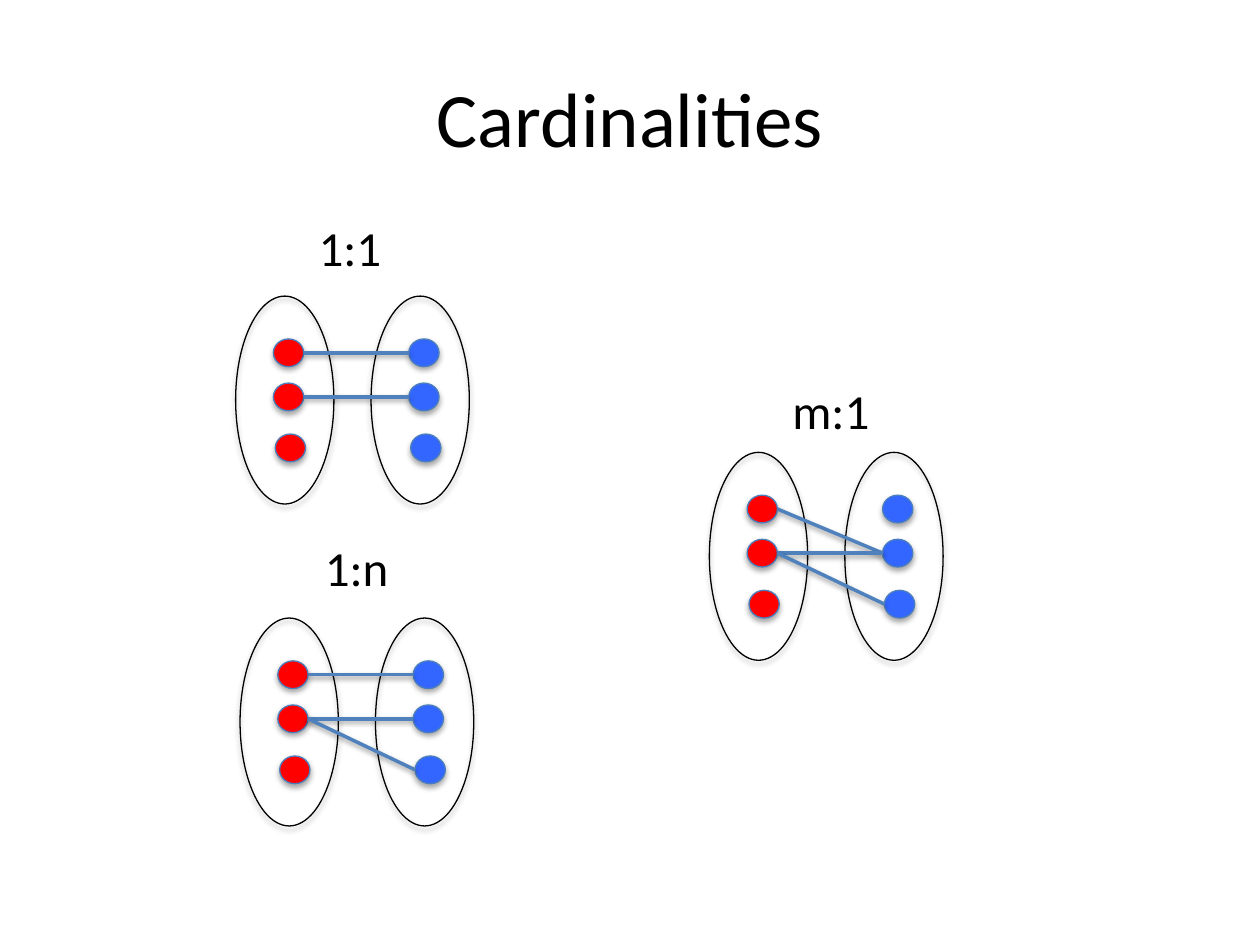
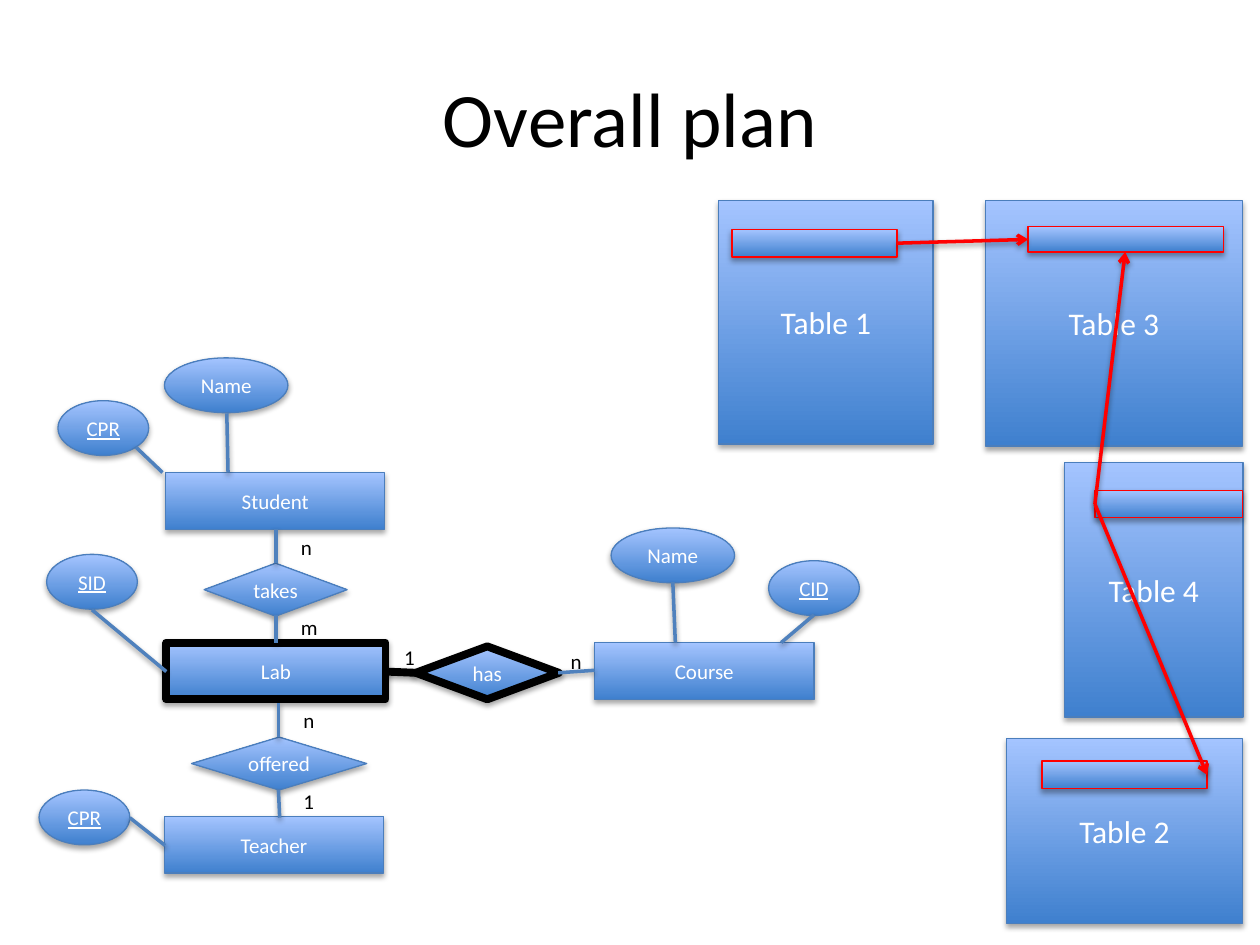
from pptx import Presentation
from pptx.dml.color import RGBColor
from pptx.enum.shapes import MSO_CONNECTOR, MSO_SHAPE
from pptx.enum.text import MSO_ANCHOR, PP_ALIGN
from pptx.oxml import parse_xml
from pptx.oxml.ns import nsdecls
from pptx.util import Emu, Inches, Pt

# The slide is a grid of 100 columns by 75 rows; all lengths are in grid cells.
CELL = Inches(0.1)
FONT = "Calibri"
BLACK, WHITE, RED, BLUE = "000000", "FFFFFF", "FF0000", "3366FF"
OUTLINE, LINK = "4B7EBC", "4F81BD"
GRADIENT = ("3F80CE", "A4C4FF")
TITLE_AREA = (5, 3, 90, 12.5)
RECT, OVAL, DIAMOND = MSO_SHAPE.RECTANGLE, MSO_SHAPE.OVAL, MSO_SHAPE.DIAMOND
SHADOW = (
    f"<a:effectLst {nsdecls('a')}>"
    '<a:outerShdw blurRad="40000" dist="%d" dir="5400000" rotWithShape="0">'
    '<a:srgbClr val="000000"><a:alpha val="%d"/></a:srgbClr>'
    "</a:outerShdw></a:effectLst>"
)


def draw(page, kind, area, text="", size=12, color=WHITE, fill=GRADIENT,
         line=OUTLINE, width=0.75, underline=False, centered=True):
    """Add a preset shape, or a plain text box when kind is None."""
    area = [Emu(round(cells * CELL)) for cells in area]
    if kind is None:
        box = page.shapes.add_textbox(*area)
    else:
        box = page.shapes.add_shape(kind, *area)
        if fill is None:
            box.fill.background()
        elif fill == GRADIENT:
            box.fill.gradient()
            box.fill.gradient_angle = 90
            for stop, shade in zip(box.fill.gradient_stops, GRADIENT):
                stop.color.rgb = RGBColor.from_string(shade)
        else:
            box.fill.solid()
            box.fill.fore_color.rgb = RGBColor.from_string(fill)
        box.line.color.rgb = RGBColor.from_string(line)
        box.line.width = Pt(width)
        box._element.spPr.append(parse_xml(SHADOW % (23000, 35000)))
    if text:
        frame = box.text_frame
        frame.word_wrap = centered
        frame.vertical_anchor = MSO_ANCHOR.MIDDLE if centered else MSO_ANCHOR.TOP
        para = frame.paragraphs[0]
        para.alignment = PP_ALIGN.CENTER if centered else PP_ALIGN.LEFT
        span = para.add_run()
        span.text = text
        span.font.name = FONT
        span.font.size = Pt(size)
        span.font.underline = underline or None
        span.font.color.rgb = RGBColor.from_string(color)


def link(page, start, end, color=LINK, width=2, arrow=False):
    ends = [Emu(round(cells * CELL)) for cells in (*start, *end)]
    connector = page.shapes.add_connector(MSO_CONNECTOR.STRAIGHT, *ends)
    connector.line.color.rgb = RGBColor.from_string(color)
    connector.line.width = Pt(width)
    if arrow:
        connector.line._get_or_add_ln().append(
            parse_xml(f'<a:tailEnd {nsdecls("a")} type="arrow"/>'))
    connector._element.spPr.append(parse_xml(SHADOW % (20000, 38000)))


deck = Presentation()
deck.slide_width, deck.slide_height = 100 * CELL, 75 * CELL
pages = []
for title in ("Cardinalities", "Overall plan"):
    page = deck.slides.add_slide(deck.slide_layouts[6])
    draw(page, None, TITLE_AREA, title, 44, BLACK)
    pages.append(page)
cardinalities, plan = pages

# Cardinalities: two sets of three dots, with links as (left dot, right dot)
SET_GAP = 10.75
DOT_WIDTH, DOT_HEIGHT = 2.4, 2.2
DOTS = [(3, 3.4), (3, 6.9), (3.15, 10.95)]
mappings = [
    ("1:1", (24.3, 16.8, 7.1, 5.7), (18.7, 23.5), [(0, 0), (1, 1)]),
    ("1:n", (24.8, 42.2, 7.1, 5.7), (19.05, 49.05), [(0, 0), (1, 1), (1, 2)]),
    ("m:1", (61.9, 29.7, 8.2, 5.7), (56.3, 35.9), [(0, 1), (1, 1), (1, 2)]),
]
for name, label_area, (left, top), pairs in mappings:
    for set_left, dot_color in ((left, RED), (left + SET_GAP, BLUE)):
        draw(cardinalities, OVAL, (set_left, top, 7.8, 16.5), fill=None, line=BLACK)
        for x, y in DOTS:
            draw(cardinalities, OVAL, (set_left + x, top + y, DOT_WIDTH, DOT_HEIGHT),
                 fill=dot_color)
    for source, target in pairs:
        (x1, y1), (x2, y2) = DOTS[source], DOTS[target]
        middle = top + DOT_HEIGHT / 2
        link(cardinalities, (left + x1 + DOT_WIDTH, middle + y1),
             (left + SET_GAP + x2, middle + y2))
    draw(cardinalities, None, label_area, name, 28, BLACK, centered=False)

# Overall plan: tables, each with a key row, and references between the keys
tables = [
    ("Table 1", (57.05, 15.9, 17, 19.35), (58.1, 18.2, 13.1, 2.2)),
    ("Table 2", (79.9, 58.6, 18.7, 14.7), (82.7, 60.4, 13.1, 2.2)),
    ("Table 3", (78.2, 15.9, 20.4, 19.5), (81.6, 18, 15.5, 2)),
    ("Table 4", (84.5, 36.7, 14.15, 20.2), (86.9, 38.9, 11.7, 2.2)),
]
for name, table_area, key_area in tables:
    draw(plan, RECT, table_area, name, 18)
    draw(plan, RECT, key_area, line=RED)
for start, end in [((71.2, 19.3), (81.6, 19)), ((86.9, 40), (89.3, 20)),
                   ((86.9, 40), (95.8, 61.5))]:
    link(plan, start, end, RED, arrow=True)

# Overall plan: entities, attributes and relations
HEAVY = {"line": BLACK, "width": 4.5}
for name, left, top, style in [
    ("Student", 13.15, 37.5, {}), ("Teacher", 13.05, 64.8, {}),
    ("Course", 47.2, 51, {}), ("Lab", 13.2, 51, HEAVY),
]:
    draw(plan, RECT, (left, top, 17.4, 4.5), name, **style)

for name, left, top, is_key in [
    ("CPR", 4.6, 31.8, True), ("CPR", 3.1, 62.7, True), ("Name", 13.05, 28.4, False),
    ("CID", 61, 44.5, True), ("Name", 48.5, 41.9, False), ("SID", 3.7, 44, True),
]:
    draw(plan, OVAL, (left, top, 7.2 if is_key else 9.8, 4.35), name, underline=is_key)

for name, left, top, breadth, style in [
    ("takes", 16.2, 44.7, 11.35, {}), ("offered", 15.2, 58.5, 13.9, {}),
    ("has", 33, 51.3, 11.35, HEAVY),
]:
    draw(plan, DIAMOND, (left, top, breadth, 4.2), name, **style)

for start, end in [
    ((10.8, 35.5), (12.9, 37.5)),    # CPR to Student
    ((18, 32.8), (18.1, 37.5)),      # Name to Student
    ((13.1, 67.1), (10.3, 64.9)),    # Teacher to CPR
    ((64.6, 48.8), (62, 51)),        # CID to Course
    ((53.4, 46.2), (53.6, 51)),      # Name to Course
    ((7.3, 48.4), (13.2, 53.3)),     # SID to Lab
    ((21.9, 48.8), (21.9, 51)),      # takes to Lab
    ((21.9, 44.7), (21.9, 42)),      # takes to Student
    ((22.1, 62.7), (22.2, 64.9)),    # offered to Teacher
    ((22.1, 58.5), (22.1, 55.8)),    # offered to Lab
    ((47.2, 53.2), (44.3, 53.4)),    # Course to has
]:
    link(plan, start, end)
link(plan, (33, 53.4), (30.6, 53.3), BLACK, 4.5)

for mark, left, top in [("n", 22.9, 41.9), ("m", 22.9, 48.3), ("n", 23.1, 55.7),
                        ("1", 23.1, 62.1), ("1", 31.1, 50.7), ("n", 44.3, 51)]:
    draw(plan, None, (left, top, 3.3 if mark == "m" else 2.9, 3), mark,
         color=BLACK, centered=False)

deck.save("out.pptx")
